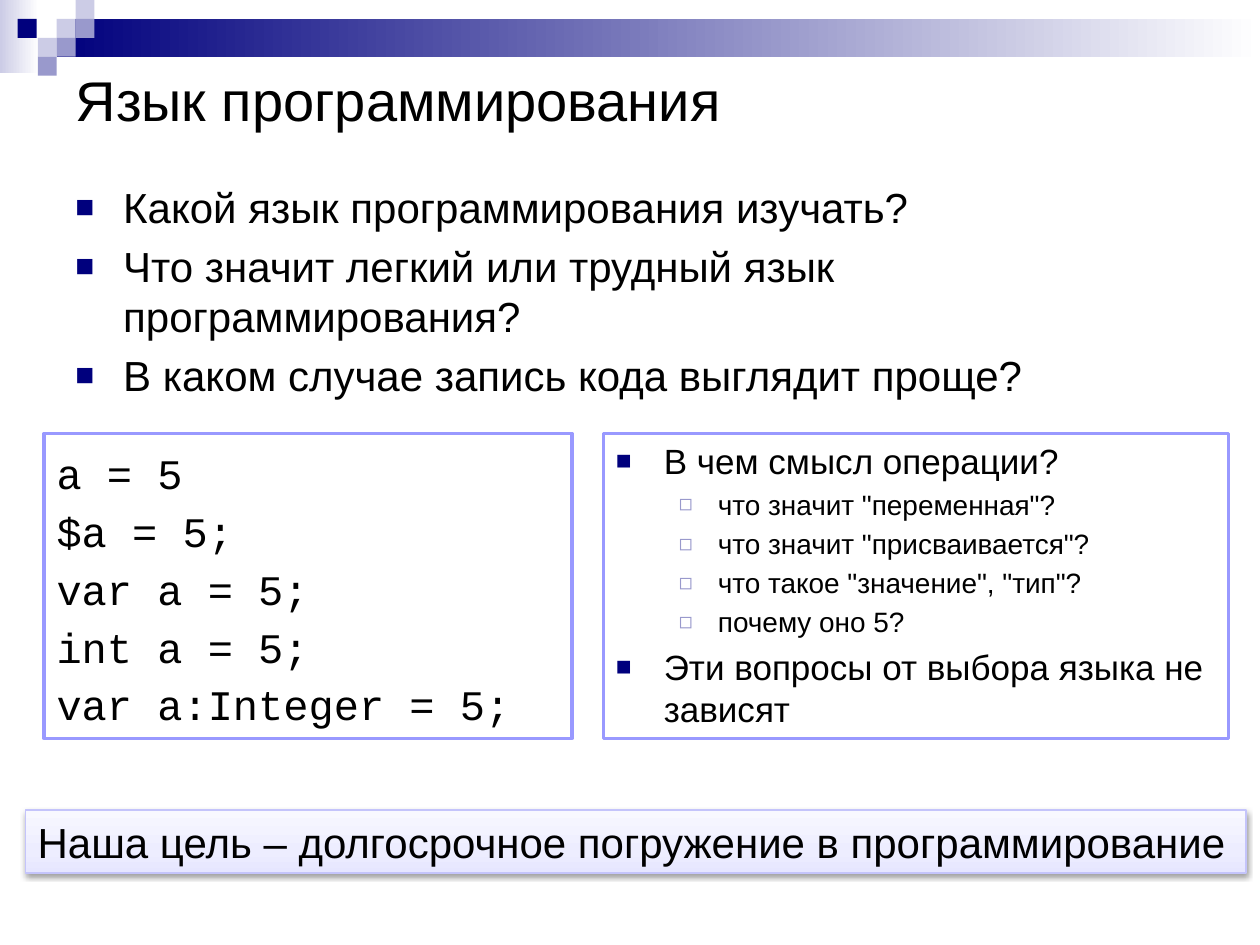
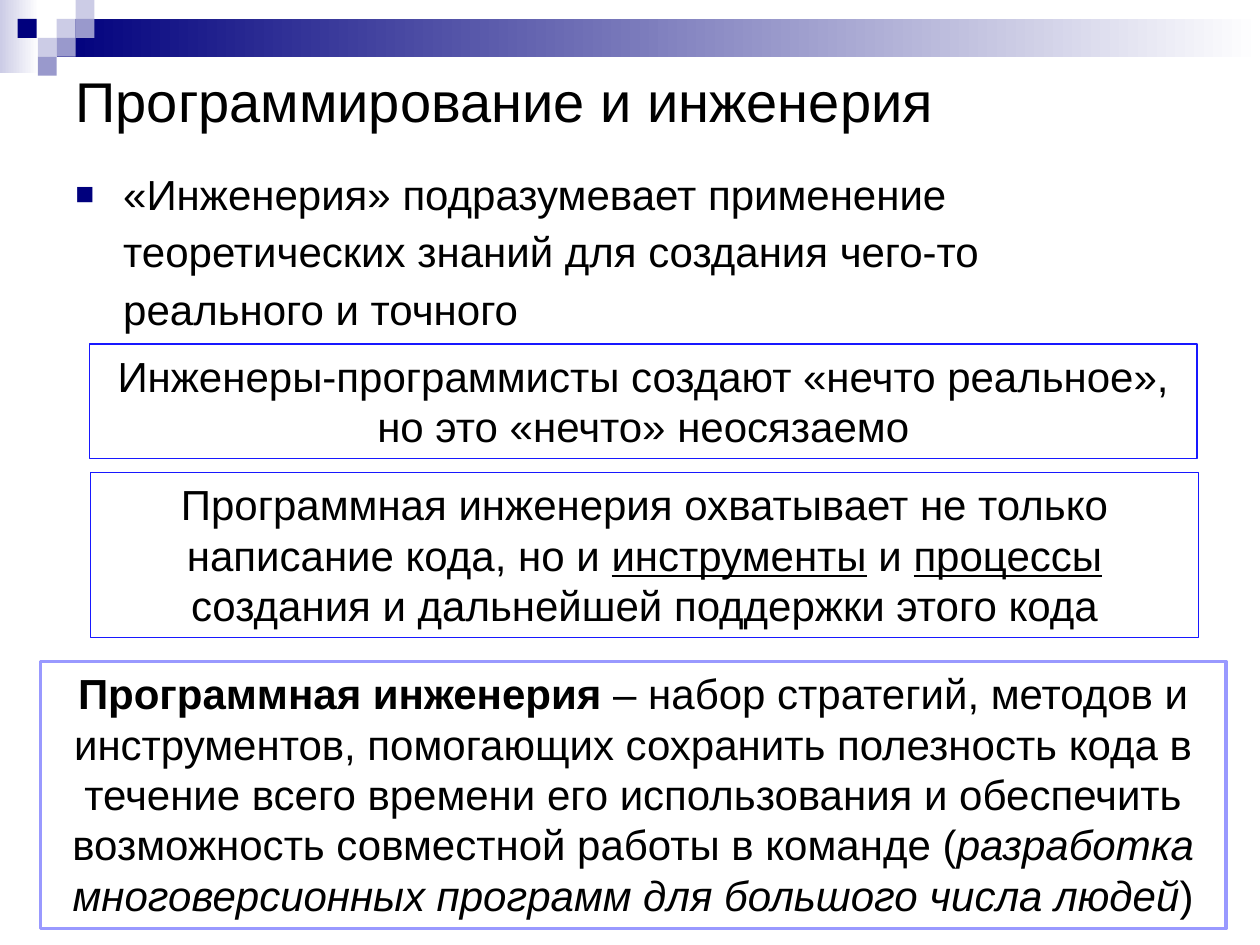
from pptx import Presentation
from pptx.dml.color import RGBColor
from pptx.enum.shapes import MSO_SHAPE as Shape
from pptx.enum.text import MSO_ANCHOR as Anchor, MSO_AUTO_SIZE as AutoSize, PP_ALIGN as Align
from pptx.oxml import parse_xml
from pptx.oxml.ns import nsdecls, qn
from pptx.util import Inches, Pt

NAVY, LAVENDER, PALE = "00007D", "9999CC", "CCCCE6"
BLACK, WHITE, FRAME, THIN_FRAME = "000000", "FFFFFF", "9999FF", "1818FF"
# Per level: sign, colour, size in percent, left margin, hanging indent
BULLETS = [("■", NAVY, 75, 0.38, 0.38), ("◻", LAVENDER, 80, 0.81, 0.31)]
SQUARE = 0.15
MOSAIC = [(0.45, 1, PALE), (0.6, 0, PALE), (0.6, 1, LAVENDER), (0.3, 2, PALE),
          (0.14, 1, NAVY), (0.45, 2, LAVENDER), (0.3, 3, LAVENDER)]


def rgb(color):
    return RGBColor.from_string(color)


def drawing(tag, attributes, content=""):
    return parse_xml(f"<a:{tag} {nsdecls('a')} {attributes}>{content}</a:{tag}>")


class Deck:
    def __init__(self):
        self.presentation = Presentation()
        self.presentation.slide_width = Inches(10)
        self.presentation.slide_height = Inches(7.5)
        self.slide = None

    def add_slide(self, title, place):
        layout = self.presentation.slide_layouts[5]
        self.slide = self.presentation.slides.add_slide(layout)
        self.header()
        heading = self.slide.shapes.title
        heading.left, heading.top, heading.width, heading.height = map(Inches, place)
        frame = heading.text_frame
        frame.text = title
        frame.word_wrap = True
        frame.auto_size = AutoSize.NONE
        frame.vertical_anchor = Anchor.MIDDLE
        frame.paragraphs[0].alignment = Align.LEFT
        self.style(frame.paragraphs[0], 32)

    def header(self):
        self.gradient(self.box((0, 0, 0.31, 0.58)), [(0, PALE), (100, WHITE)])
        self.gradient(self.box((0.45, 0.15, 9.55, 0.3)), [(0, NAVY), (100, WHITE)])
        for left, row, color in MOSAIC:
            self.box((left, row * SQUARE, SQUARE, SQUARE), fill=color)

    def box(self, place, fill=None, line=None, width=0.75):
        box = self.slide.shapes.add_shape(Shape.RECTANGLE, *map(Inches, place))
        box.shadow.inherit = False
        if fill:
            box.fill.solid()
            box.fill.fore_color.rgb = rgb(fill)
        else:
            box.fill.background()
        if line:
            box.line.color.rgb = rgb(line)
            box.line.width = Pt(width)
        else:
            box.line.fill.background()
        return box

    def gradient(self, box, stops, angle=0):
        box.fill.gradient()
        marks = "".join(f'<a:gs pos="{position * 1000}"><a:srgbClr val="{color}"/></a:gs>'
                        for position, color in stops)
        content = f'<a:gsLst>{marks}</a:gsLst><a:lin ang="{angle * 60000}" scaled="0"/>'
        properties = box.element.spPr
        properties.replace(properties.find(qn("a:gradFill")),
                           drawing("gradFill", 'rotWithShape="1"', content))

    def drop_shadow(self, box):
        color = f'<a:srgbClr val="{BLACK}"><a:alpha val="38000"/></a:srgbClr>'
        size = f'blurRad="{Pt(3.1)}" dist="{Pt(1.6)}" dir="5400000" rotWithShape="0"'
        box.element.spPr.find(qn("a:effectLst")).append(drawing("outerShdw", size, color))

    def style(self, paragraph, size, font="Arial"):
        for run in paragraph.runs:
            run.font.size = Pt(size)
            run.font.name = font
            run.font.color.rgb = rgb(BLACK)

    def prepare(self, box, grow=True):
        frame = box.text_frame
        frame.word_wrap = True
        frame.vertical_anchor = Anchor.TOP
        frame.auto_size = AutoSize.SHAPE_TO_FIT_TEXT if grow else AutoSize.NONE
        return frame

    def statement(self, box, runs, align=Align.CENTER):
        """Fill the box with one paragraph of (text, emphasis) runs."""
        paragraph = self.prepare(box).paragraphs[0]
        paragraph.alignment = align
        for text, emphasis in runs:
            run = paragraph.add_run()
            run.text = text
            if emphasis:
                setattr(run.font, emphasis, True)
        self.style(paragraph, 24)

    def code(self, box, lines):
        paragraph = self.prepare(box).paragraphs[0]
        paragraph.text = "\n".join(lines)
        paragraph.alignment = Align.LEFT
        paragraph.line_spacing = 1.15
        paragraph.space_before = paragraph.space_after = Pt(3)
        self.style(paragraph, 24, "Courier New")

    def bullets(self, box, items, sizes=(24,), spacing=None):
        """Fill the box with (level, text) items; sizes holds one size per level."""
        frame = self.prepare(box, grow=False)
        for index, (level, text) in enumerate(items):
            paragraph = frame.add_paragraph() if index else frame.paragraphs[0]
            paragraph.text = text
            paragraph.level = level
            paragraph.alignment = Align.LEFT
            paragraph.line_spacing = spacing
            paragraph.space_before = Pt(sizes[level] * 0.2)
            self.style(paragraph, sizes[level])
            sign, color, percent, margin, hanging = BULLETS[level]
            properties = paragraph._p.get_or_add_pPr()
            properties.set("marL", str(Inches(margin)))
            properties.set("indent", str(-Inches(hanging)))
            properties.append(drawing("buClr", "", f'<a:srgbClr val="{color}"/>'))
            properties.append(drawing("buSzPct", f'val="{percent * 1000}"'))
            properties.append(drawing("buFont", 'typeface="Arial"'))
            properties.append(drawing("buChar", f'char="{sign}"'))

    def body(self, place, texts, spacing=None):
        box = self.slide.shapes.add_textbox(*map(Inches, place))
        self.bullets(box, [(0, text) for text in texts], spacing=spacing)


def language_slide(deck):
    deck.add_slide("Язык программирования", (0.5, 0.5, 9, 0.57))
    deck.body((0.5, 1.39, 9, 2.28), [
        "Какой язык программирования изучать?",
        "Что значит легкий или трудный язык программирования?",
        "В каком случае запись кода выглядит проще?",
    ])
    deck.code(deck.box((0.35, 3.44, 4.19, 2.42), WHITE, FRAME, 2), [
        "a = 5", "$a = 5;", "var a = 5;", "int a = 5;", "var a:Integer = 5;",
    ])
    deck.bullets(deck.box((4.79, 3.44, 4.96, 2.42), WHITE, FRAME, 2), [
        (0, "В чем смысл операции?"),
        (1, 'что значит "переменная"?'),
        (1, 'что значит "присваивается"?'),
        (1, 'что такое "значение", "тип"?'),
        (1, "почему оно 5?"),
        (0, "Эти вопросы от выбора языка не зависят"),
    ], sizes=(20, 16))
    goal = deck.box((0.2, 6.43, 9.69, 0.5), line="C4C4FB")
    deck.gradient(goal, [(0, "E6E6FF"), (35, "EDEDFF"), (100, "F8F8FF")], 270)
    deck.drop_shadow(goal)
    deck.statement(goal, [("Наша цель – долгосрочное погружение в программирование", None)],
                   Align.LEFT)


def engineering_slide(deck):
    deck.add_slide("Программирование и инженерия", (0.5, 0.44, 9.22, 0.71))
    deck.body((0.5, 1.23, 9, 1.57), [
        "«Инженерия» подразумевает применение теоретических знаний "
        "для создания чего-то реального и точного",
    ], spacing=1.14)
    deck.statement(deck.box((0.71, 2.73, 8.79, 0.91), line=THIN_FRAME), [
        ("Инженеры-программисты создают «нечто реальное», но это «нечто» неосязаемо", None),
    ])
    deck.statement(deck.box((0.72, 3.75, 8.79, 1.31), line=THIN_FRAME), [
        ("Программная инженерия охватывает не только написание кода, но и ", None),
        ("инструменты", "underline"),
        (" и ", None),
        ("процессы", "underline"),
        (" создания и дальнейшей поддержки этого кода", None),
    ])
    deck.statement(deck.box((0.32, 5.25, 9.41, 2.12), WHITE, FRAME, 2), [
        ("Программная инженерия ", "bold"),
        ("– набор стратегий, методов и инструментов, помогающих сохранить полезность кода "
         "в течение всего времени его использования и обеспечить возможность совместной "
         "работы в команде (", None),
        ("разработка многоверсионных программ для большого числа людей", "italic"),
        (")", None),
    ])


def main():
    deck = Deck()
    language_slide(deck)
    engineering_slide(deck)
    deck.presentation.save("out.pptx")


if __name__ == "__main__":
    main()
